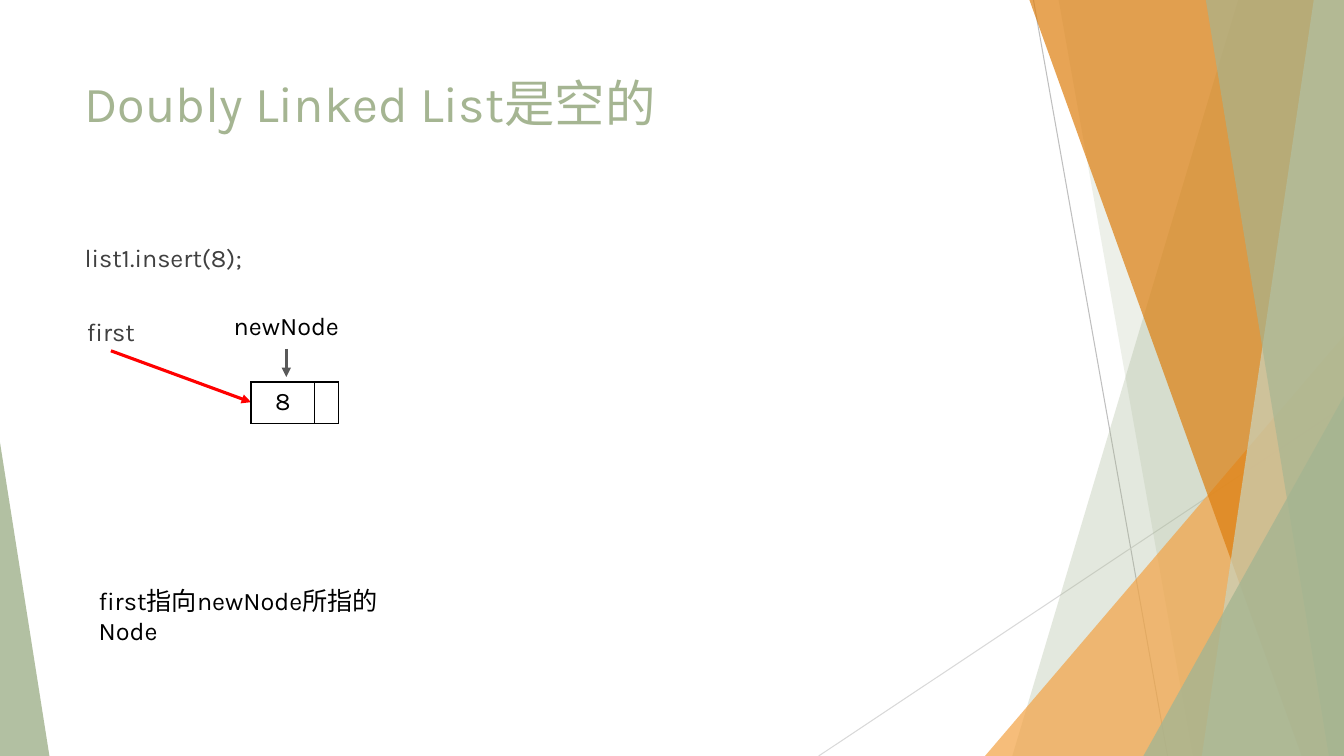
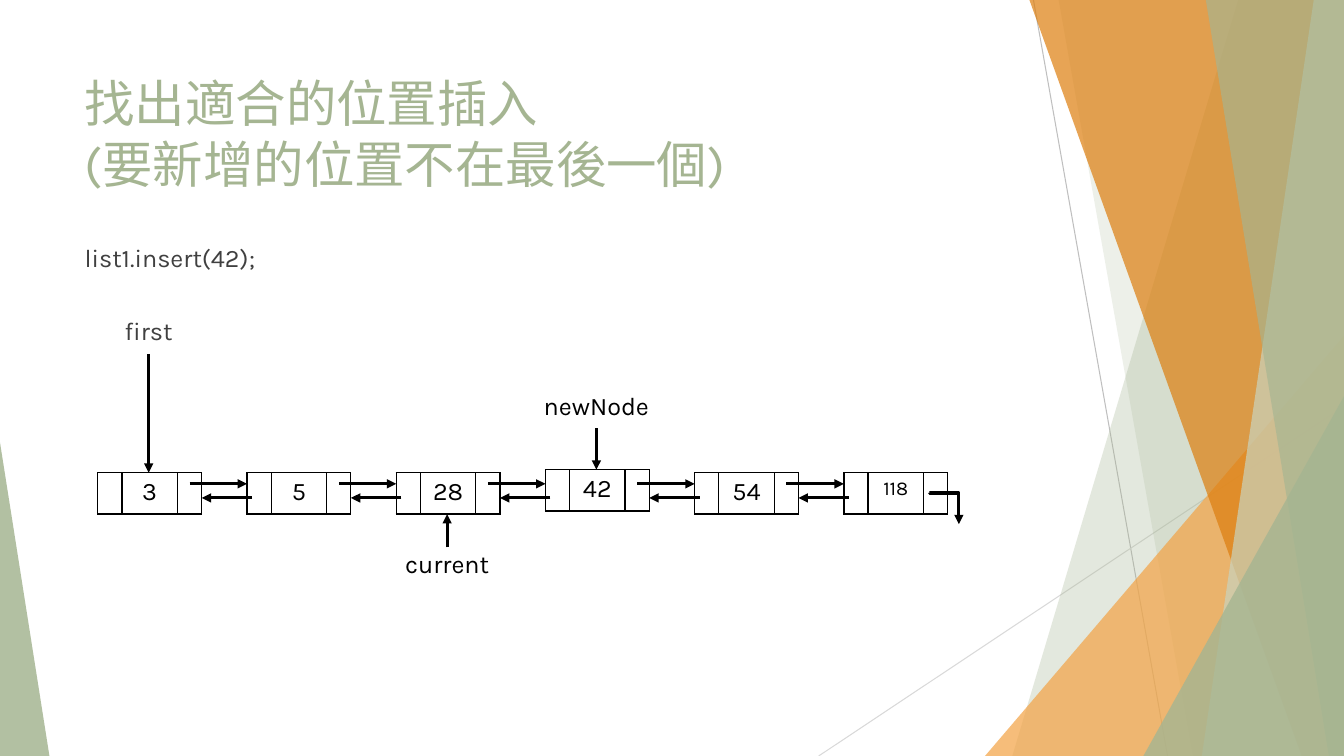
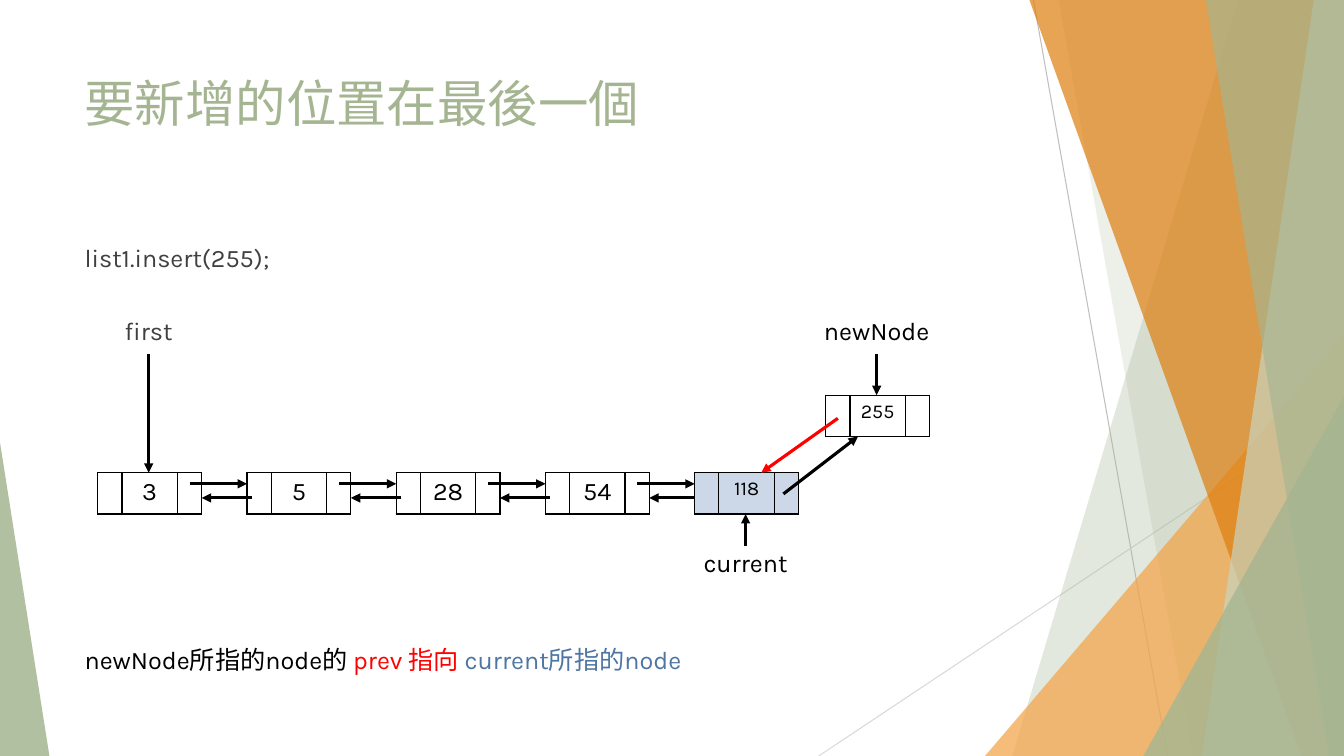
from lxml.etree import SubElement
from pptx import Presentation
from pptx.dml.color import RGBColor
from pptx.enum.shapes import MSO_CONNECTOR, MSO_SHAPE
from pptx.enum.text import MSO_ANCHOR, PP_ALIGN
from pptx.oxml.ns import qn
from pptx.util import Inches, Pt

STRAIGHT, ELBOW = MSO_CONNECTOR.STRAIGHT, MSO_CONNECTOR.ELBOW
TRIANGLE = MSO_SHAPE.ISOSCELES_TRIANGLE
LEFT, CENTER = PP_ALIGN.LEFT, PP_ALIGN.CENTER
TOP = MSO_ANCHOR.TOP

SAGE = RGBColor(0xA5, 0xB5, 0x92)
PALE = RGBColor(0xC9, 0xD3, 0xBE)
AMBER = RGBColor(0xF3, 0xA4, 0x47)
RUST = RGBColor(0xDD, 0x7E, 0x0E)
SILVER = RGBColor(0xBF, 0xBF, 0xBF)
MIST = RGBColor(0xD9, 0xD9, 0xD9)
BLACK = RGBColor(0, 0, 0)
INK = RGBColor(0x40, 0x40, 0x40)
GREY = RGBColor(0x59, 0x59, 0x59)
RED = RGBColor(0xFF, 0, 0)
BLUE = RGBColor(0x4E, 0x75, 0xA3)
SKY = RGBColor(0xCC, 0xD8, 0xE7)

FONT = "Karla"
WIDE, HIGH = 13.33, 7.5
EDGE = 0.74
START, STEP, ROW = 0.97, 1.48, 4.69
LINK, DATA, TALL = 0.23, 0.55, 0.41
NODE = 2 * LINK + DATA
LABEL = 0.43


def write(frame, text, size=18, color=BLACK, align=LEFT, before=0):
    para = frame.paragraphs[0]
    para.alignment = align
    para.space_before = Pt(before)
    runs = [(text, color)] if isinstance(text, str) else text
    for words, tint in runs:
        for num, line in enumerate(words.split("\n")):
            if num:
                para.add_line_break()
            run = para.add_run()
            run.text = line
            run.font.name = FONT
            run.font.size = Pt(size)
            run.font.color.rgb = tint


def add_text(slide, box, text, **style):
    shape = slide.shapes.add_textbox(*map(Inches, box))
    frame = shape.text_frame
    frame.word_wrap = True
    frame.vertical_anchor = TOP
    write(frame, text, **style)


def add_line(slide, start, end, color=BLACK, width=2.25, arrow=True, kind=STRAIGHT):
    line = slide.shapes.add_connector(kind, *map(Inches, (*start, *end)))
    line.line.color.rgb = color
    line.line.width = Pt(width)
    props = line._element.spPr
    if arrow:
        SubElement(props.find(qn("a:ln")), qn("a:tailEnd"), type="triangle")
    SubElement(props, qn("a:effectLst"))
    return line


def paint(shape, color, share):
    shape.shadow.inherit = False
    shape.fill.solid()
    shape.fill.fore_color.rgb = color
    shape.line.fill.background()
    tint = shape._element.spPr.find(qn("a:solidFill")).find(qn("a:srgbClr"))
    SubElement(tint, qn("a:alpha"), val=str(share * 1000))


def add_band(slide, top, foot, color, share):
    spots = [(top, 0), (WIDE, 0), (WIDE, HIGH), (foot, HIGH)]
    spots = [(Inches(x), Inches(y)) for x, y in spots]
    build = slide.shapes.build_freeform(*spots[0], scale=1.0)
    build.add_line_segments(spots[1:], close=True)
    paint(build.convert_to_shape(), color, share)


def add_peak(slide, left, top, width, apex, color, share):
    box = map(Inches, (left, top, width, HIGH - top))
    peak = slide.shapes.add_shape(TRIANGLE, *box)
    peak.adjustments[0] = apex
    paint(peak, color, share)


def add_decor(slide):
    add_line(slide, (10.25, 0), (11.58, HIGH), SILVER, 0.75, False)
    add_line(slide, (WIDE, 4.03), (8.12, HIGH), MIST, 0.75, False)
    add_band(slide, 12.28, 10.04, SAGE, 30)
    add_band(slide, 10.5, 11.83, SAGE, 20)
    add_peak(slide, 9.77, 3.33, WIDE - 9.77, 1, AMBER, 72)
    add_band(slide, 10.21, 12.91, RUST, 70)
    add_band(slide, 13.03, 11.92, PALE, 70)
    add_band(slide, 11.96, 13.18, SAGE, 65)
    add_peak(slide, 11.34, 3.93, WIDE - 11.34, 1, SAGE, 80)
    add_peak(slide, 0, 4.39, 0.49, 0, SAGE, 85)


def add_page(deck, title, code):
    slide = deck.slides.add_slide(deck.slide_layouts[6])
    add_decor(slide)
    add_text(slide, (EDGE, 0.67, 9.4, 1.44), title, size=36, color=SAGE)
    add_text(slide, (EDGE, 2.36, 2.4, 0.46), code, color=INK, before=10)
    return slide


def add_node(slide, left, top, cells, cols=(LINK, DATA, LINK), fill=None):
    box = map(Inches, (left, top, sum(cols), TALL))
    table = slide.shapes.add_table(1, len(cols), *box).table
    table.first_row = table.horz_banding = False
    table.rows[0].height = Inches(TALL)
    for num, (wide, text) in enumerate(zip(cols, cells)):
        table.columns[num].width = Inches(wide)
        cell = table.cell(0, num)
        props = cell._tc.get_or_add_tcPr()
        for side in "LRTB":
            edge = SubElement(props, qn("a:ln" + side), w=str(Pt(1)))
            solid = SubElement(edge, qn("a:solidFill"))
            SubElement(solid, qn("a:srgbClr"), val=str(BLACK))
        if fill is None:
            cell.fill.background()
        else:
            cell.fill.solid()
            cell.fill.fore_color.rgb = fill
        if text:
            size = 14 if len(text) > 2 else 18
            write(cell.text_frame, text, size=size, align=CENTER)


def add_chain(slide, left, top, values, lifts={}, fills={}):
    for num, value in enumerate(values):
        x = left + num * STEP
        y = top - lifts.get(num, 0)
        add_node(slide, x, y, ("", value, ""), fill=fills.get(num))
        if num < len(values) - 1:
            add_line(slide, (x + 0.91, top + 0.11), (x + STEP, top + 0.11))
            add_line(slide, (x + STEP + 0.05, top + 0.25), (x + NODE + 0.02, top + 0.25))


def add_label(slide, mid, top, text, width=1.27, color=BLACK):
    box = (mid - width / 2, top, width, LABEL)
    add_text(slide, box, text, color=color, align=CENTER, before=10)


def add_first(slide, mid, top):
    add_label(slide, mid, top, "first", 0.79, INK)


def add_tag(slide, mid, top, text, tip):
    add_label(slide, mid, top, text)
    start = top + LABEL if tip > top else top + 0.04
    add_line(slide, (mid, start), (mid, tip))


def add_end(slide, left, top, width, height):
    hook = add_line(slide, (left + width, top), (left, top + height), kind=ELBOW)
    props = hook._element.spPr
    props.find(qn("a:xfrm")).set("rot", str(270 * 60000))
    shape = props.find(qn("a:prstGeom"))
    guides = shape.find(qn("a:avLst"))
    if guides is None:
        guides = SubElement(shape, qn("a:avLst"))
    SubElement(guides, qn("a:gd"), name="adj1", fmla="val 300")


def add_list(slide, values, **style):
    add_chain(slide, START, ROW, values, **style)
    mid = START + NODE / 2
    add_first(slide, mid, 3.08)
    add_line(slide, (mid, 3.51), (mid, ROW))


def empty_slide(deck):
    slide = add_page(deck, "Doubly Linked List是空的", "list1.insert(8);")
    add_first(slide, 1.1, 3.09)
    add_line(slide, (1.1, 3.48), (2.49, 3.99), RED)
    add_label(slide, 2.84, 3.03, "newNode")
    add_line(slide, (2.84, 3.46), (2.84, 3.74), GREY)
    add_node(slide, 2.49, 3.79, ("8", ""), (0.63, LINK))
    add_text(slide, (0.88, 5.76, 3.54, 0.4), "first指向newNode所指的Node")


def middle_slide(deck):
    title = "找出適合的位置插入\n(要新增的位置不在最後一個)"
    slide = add_page(deck, title, "list1.insert(42);")
    lift = 0.03
    add_list(slide, ("3", "5", "28", "42", "54", "118"), lifts={3: lift})
    mid = START + NODE / 2
    add_tag(slide, mid + 3 * STEP, 3.82, "newNode", ROW - lift)
    add_tag(slide, mid + 2 * STEP, 5.39, "current", ROW + TALL)
    add_end(slide, 9.21, 4.9, 0.31, 0.29)


def last_slide(deck):
    slide = add_page(deck, "要新增的位置在最後一個", "list1.insert(255);")
    add_list(slide, ("3", "5", "28", "54", "118"), fills={4: SKY})
    left, top = 8.19, 3.92
    add_node(slide, left, top, ("", "255", ""))
    add_tag(slide, left + NODE / 2, 3.08, "newNode", top)
    add_tag(slide, START + 4 * STEP + NODE / 2, 5.38, "current", ROW + TALL)
    add_line(slide, (7.77, 4.9), (8.51, top + TALL))
    add_line(slide, (8.31, 4.15), (7.55, ROW), RED)
    note = [
        ("newNode所指的node的 ", BLACK),
        ("prev 指向 ", RED),
        ("current所指的node", BLUE),
    ]
    add_text(slide, (EDGE, 6.34, 6.18, 0.4), note)


deck = Presentation()
deck.slide_width, deck.slide_height = Inches(WIDE), Inches(HIGH)
empty_slide(deck)
middle_slide(deck)
last_slide(deck)
deck.save("out.pptx")
